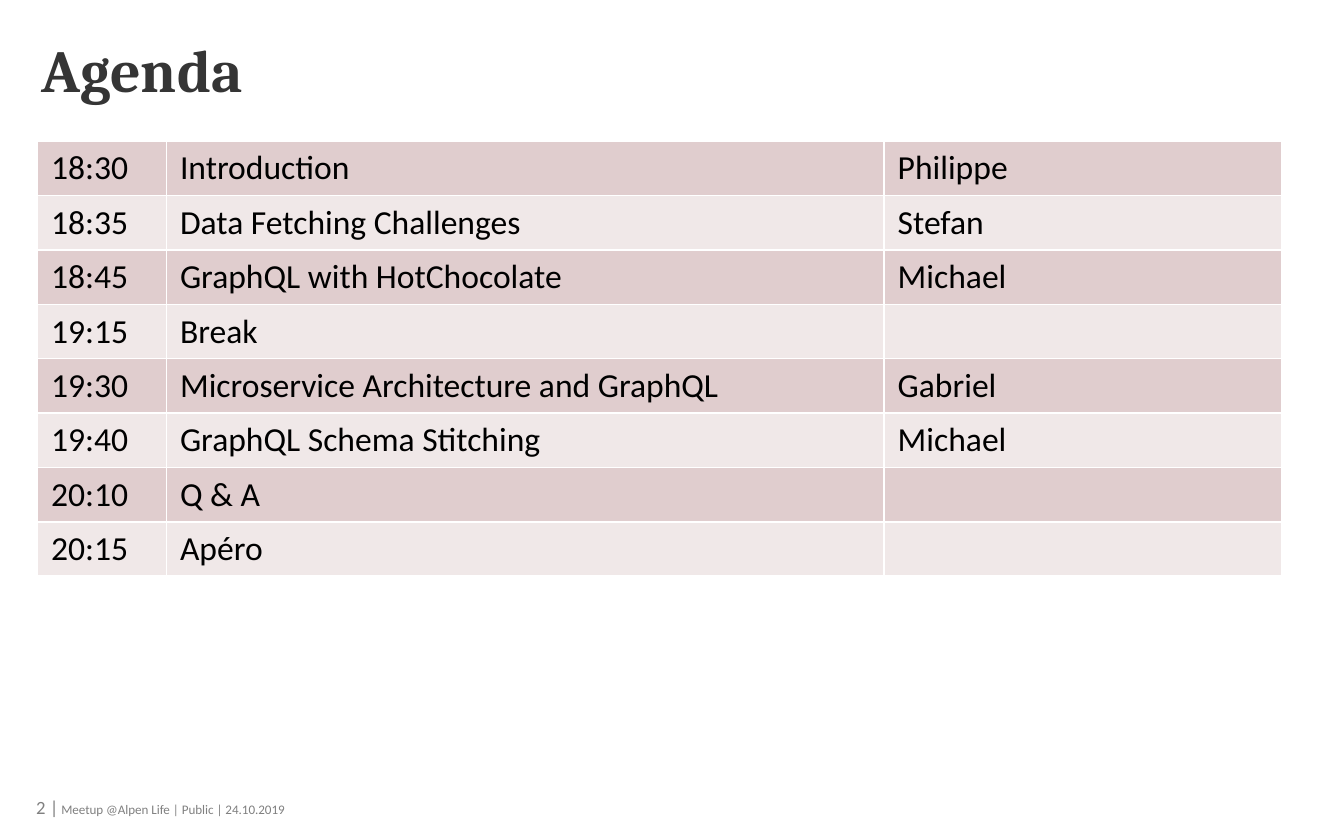
from lxml import etree
from pptx import Presentation
from pptx.dml.color import RGBColor as Rgb
from pptx.enum.text import MSO_ANCHOR as Anchor
from pptx.oxml.ns import qn
from pptx.util import Inches, Pt

ROWS = [
    ("18:30", "Introduction", "Philippe"),
    ("18:35", "Data Fetching Challenges", "Stefan"),
    ("18:45", "GraphQL with HotChocolate", "Michael"),
    ("19:15", "Break", ""),
    ("19:30", "Microservice Architecture and GraphQL", "Gabriel"),
    ("19:40", "GraphQL Schema Stitching", "Michael"),
    ("20:10", "Q & A", ""),
    ("20:15", "Apéro", ""),
]
COLS = (0.96, 5.34, 2.96)
BANDS = ("E0CDCE", "F0E8E8")


def paint(obj, color):
    obj.solid()
    obj.fore_color.rgb = Rgb.from_string(color)


def add_run(para, text, size, color, face="Calibri", bold=False):
    run = para.add_run()
    run.text = text
    font = run.font
    font.name, font.size, font.bold = face, Pt(size), bold
    paint(font.fill, color)


def add_text(slide, box, runs, anchor, inset=0):
    frame = slide.shapes.add_textbox(*map(Inches, box)).text_frame
    frame.word_wrap = True
    frame.vertical_anchor = anchor
    frame.margin_left = frame.margin_top = Inches(inset)
    frame.margin_right = frame.margin_bottom = 0
    for run in runs:
        add_run(frame.paragraphs[0], *run)


def add_edges(cell, color):
    props = cell._tc.get_or_add_tcPr()
    for spot, side in enumerate(("lnL", "lnR", "lnT", "lnB")):
        line = etree.Element(qn(f"a:{side}"), w=str(Pt(1)))
        fill = etree.SubElement(line, qn("a:solidFill"))
        etree.SubElement(fill, qn("a:srgbClr"), val=color)
        props.insert(spot, line)


def add_agenda(slide, box):
    table = slide.shapes.add_table(len(ROWS), len(COLS), *map(Inches, box)).table
    table.first_row = False
    for col, width in zip(table.columns, COLS):
        col.width = Inches(width)
    for r, texts in enumerate(ROWS):
        for c, text in enumerate(texts):
            cell = table.cell(r, c)
            paint(cell.fill, BANDS[r % 2])
            add_edges(cell, "FFFFFF")
            if text:
                add_run(cell.text_frame.paragraphs[0], text, 18, "000000")


def main():
    deck = Presentation()
    deck.slide_width, deck.slide_height = Inches(10), Inches(6.25)
    slide = deck.slides.add_slide(deck.slide_layouts[6])
    add_text(slide, (0.27, 5.88, 6.3, 0.25), [
        ("2 |", 10, "808080"),
        (" Meetup @Alpen Life | Public | 24.10.2019", 7, "808080"),
    ], Anchor.MIDDLE)
    add_text(slide, (0.27, 0.2, 9.36, 0.79),
             [("Agenda", 32, "353535", "Cambria", True)], Anchor.TOP, 0.04)
    add_agenda(slide, (0.28, 1.05, sum(COLS), 3.24))
    deck.save("out.pptx")


if __name__ == "__main__":
    main()
